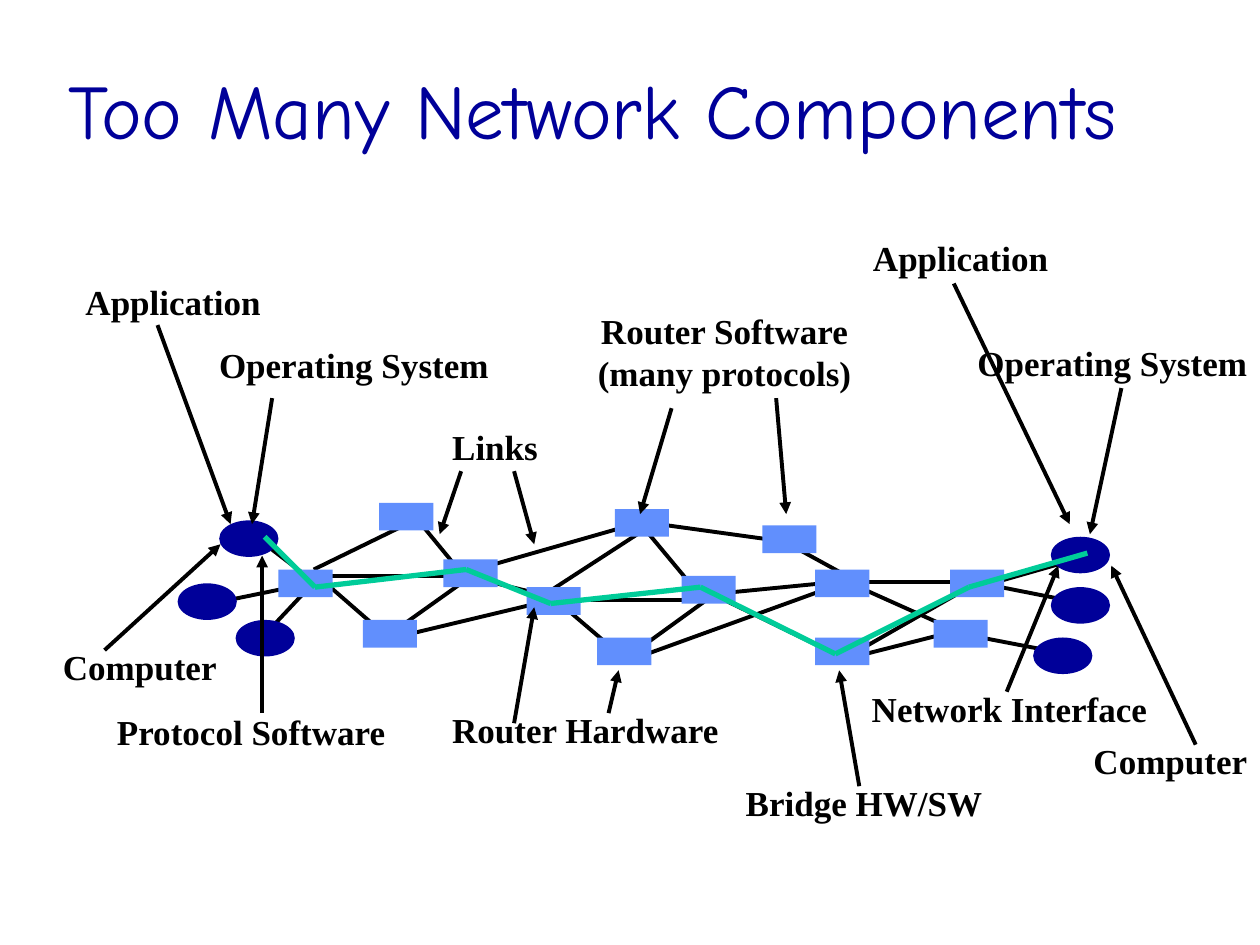
from dataclasses import dataclass
from itertools import pairwise

from lxml import etree
from pptx import Presentation
from pptx.dml.color import RGBColor
from pptx.enum.shapes import MSO_CONNECTOR, MSO_SHAPE
from pptx.enum.text import MSO_ANCHOR, MSO_AUTO_SIZE, PP_ALIGN
from pptx.oxml.ns import qn
from pptx.util import Pt

PX = 9144  # 100 px to the inch
STRAIGHT = MSO_CONNECTOR.STRAIGHT
RECT, OVAL = MSO_SHAPE.RECTANGLE, MSO_SHAPE.OVAL
LEFT, CENTER = PP_ALIGN.LEFT, PP_ALIGN.CENTER
MIDDLE, TOP = MSO_ANCHOR.MIDDLE, MSO_ANCHOR.TOP
GROW = MSO_AUTO_SIZE.SHAPE_TO_FIT_TEXT


@dataclass(frozen=True)
class Theme:
    navy: RGBColor = RGBColor(0x00, 0x00, 0x99)
    black: RGBColor = RGBColor(0x00, 0x00, 0x00)
    router: RGBColor = RGBColor(0x61, 0x8F, 0xFD)
    route: RGBColor = RGBColor(0x00, 0xCC, 0x99)
    title_font: str = "Comic Neue"
    label_font: str = "Times New Roman"
    title_size: int = 44
    label_size: int = 20
    link_width: float = 2.25
    route_width: float = 3


T = Theme()


def add_line(shapes, start, end, color, width, arrow=False):
    sp = shapes.add_connector(STRAIGHT, *(v * PX for v in (*start, *end)))
    sp.line.color.rgb = color
    sp.line.width = Pt(width)
    if arrow:
        ln = sp.line._get_or_add_ln()
        etree.SubElement(ln, qn("a:tailEnd"), type="triangle")
    etree.SubElement(sp._element.spPr, qn("a:effectLst"))


def add_run(p, text, font, size, color, bold):
    r = p.add_run()
    r.text = text
    r.font.name = font
    r.font.size = Pt(size)
    r.font.color.rgb = color
    r.font.bold = bold


prs = Presentation()
prs.slide_width, prs.slide_height = 1000 * PX, 750 * PX
s = prs.slides.add_slide(prs.slide_layouts[5])

# Title
title = s.shapes.title
title.left, title.top, title.width, title.height = (v * PX for v in (44, 24, 927, 125))
tf = title.text_frame
tf.vertical_anchor = MIDDLE
p = tf.paragraphs[0]
p.alignment = LEFT
add_run(p, "Too Many Network Components", T.title_font, T.title_size, T.navy, False)

# Network links
network = s.shapes.add_group_shape().shapes
links = [
    ((763, 503), (841, 518)), ((787, 463), (850, 445)), ((779, 463), (860, 479)),
    ((441, 476), (496, 523)), ((553, 476), (448, 476)), ((561, 476), (496, 523)),
    ((497, 525), (671, 462)), ((675, 462), (778, 462)), ((675, 463), (762, 502)),
    ((675, 520), (778, 461)), ((683, 520), (754, 502)), ((514, 413), (367, 455)),
    ((213, 434), (243, 457)), ((253, 458), (208, 506)), ((621, 429), (681, 462)),
    ((501, 413), (631, 431)), ((253, 458), (307, 505)), ((365, 457), (259, 457)),
    ((373, 458), (307, 505)), ((373, 458), (435, 473)), ((309, 507), (451, 473)),
    ((249, 452), (331, 412)), ((435, 470), (509, 422)), ((251, 462), (168, 479)),
    ((511, 419), (556, 473)), ((554, 466), (671, 523)), ((331, 412), (368, 457)),
    ((571, 471), (673, 461)),
]
for start, end in links:
    add_line(network, start, end, T.black, T.link_width)

# Routers and computers, by left and top
routers = [
    (221, 452), (288, 492), (754, 452), (647, 452), (647, 506), (541, 457), (488, 404),
    (474, 506), (605, 417), (352, 444), (418, 466), (301, 399), (741, 492),
]
computers = [(820, 506), (834, 466), (834, 426), (187, 492), (141, 463), (174, 413)]
for kind, spots, width, height, color in (
    (RECT, routers, 43, 22, T.router),
    (OVAL, computers, 47, 29, T.navy),
):
    for x, y in spots:
        sp = network.add_shape(kind, x * PX, y * PX, width * PX, height * PX)
        sp.shadow.inherit = False
        sp.fill.solid()
        sp.fill.fore_color.rgb = color
        sp.line.fill.background()

# Highlighted route
route = [
    (210, 426), (250, 466), (370, 452), (437, 479),
    (556, 466), (663, 519), (769, 466), (863, 439),
]
for start, end in pairwise(route):
    add_line(network, start, end, T.route, T.route_width)

# Labels: left, top, width, lines
labels = [
    (683, 183, 159, ["Application"]),
    (164, 268, 234, ["Operating System"]),
    (83, 559, 234, ["Protocol Software"]),
    (858, 582, 142, ["Computer"]),
    (349, 333, 88, ["Links"]),
    (349, 557, 233, ["Router Hardware"]),
    (464, 241, 222, ["Router Software", "(many protocols)"]),
    (582, 615, 208, ["Bridge HW/SW"]),
    (58, 218, 159, ["Application"]),
    (766, 266, 234, ["Operating System"]),
    (40, 507, 142, ["Computer"]),
    (682, 541, 239, ["Network Interface"]),
]
for x, y, width, lines in labels:
    height = 9 + 34 * len(lines)
    tf = s.shapes.add_textbox(x * PX, y * PX, width * PX, height * PX).text_frame
    tf.word_wrap = False
    tf.auto_size = GROW
    tf.vertical_anchor = TOP
    for i, text in enumerate(lines):
        p = tf.add_paragraph() if i else tf.paragraphs[0]
        p.alignment = CENTER if len(lines) > 1 else LEFT
        add_run(p, text, T.label_font, T.label_size, T.black, True)

# Arrows from labels to components
arrows = [
    ((125, 258), (183, 416)), ((216, 316), (200, 416)), ((83, 516), (175, 432)),
    ((366, 374), (349, 424)), ((208, 566), (208, 441)), ((408, 374), (424, 432)),
    ((533, 324), (508, 408)), ((616, 316), (624, 408)), ((757, 225), (849, 416)),
    ((890, 308), (865, 424)), ((949, 591), (882, 449)), ((682, 624), (666, 532)),
    ((408, 574), (424, 482)), ((483, 566), (491, 532)), ((799, 549), (840, 449)),
]
for start, end in arrows:
    add_line(s.shapes, start, end, T.black, T.link_width, arrow=True)

prs.save("out.pptx")
